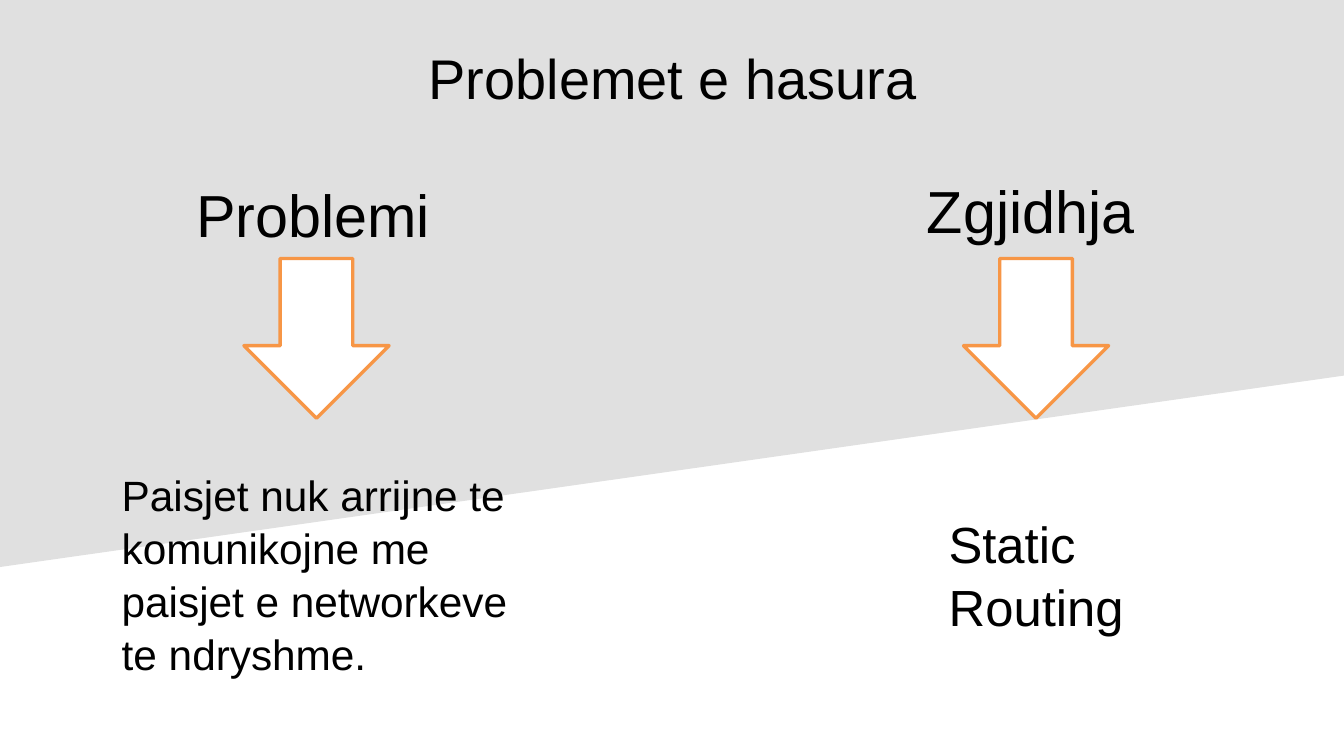
from pptx import Presentation
from pptx.dml.color import RGBColor
from pptx.enum.shapes import MSO_SHAPE
from pptx.enum.text import MSO_ANCHOR, MSO_AUTO_SIZE, PP_ALIGN
from pptx.util import Inches, Pt

COLORS = {"backdrop": "E0E0E0", "text": "000000", "arrow": "FFFFFF", "outline": "F79646"}
WIDTH, HEIGHT = 11.02, 6.2
NO_INSETS = (0, 0, 0, 0)
BOX_INSETS = (0.1, 0.05, 0.1, 0.05)


def color(name):
    """Return the named colour."""
    return RGBColor.from_string(COLORS[name])


def set_text(sp, text, size, insets=BOX_INSETS, align=PP_ALIGN.LEFT, spacing=1.0):
    """Write one formatted paragraph into a shape."""
    tf = sp.text_frame
    frame = {"word_wrap": True, "auto_size": MSO_AUTO_SIZE.NONE, "vertical_anchor": MSO_ANCHOR.MIDDLE}
    for side, inset in zip(("left", "top", "right", "bottom"), insets):
        frame[f"margin_{side}"] = Inches(inset)
    p = tf.paragraphs[0]
    r = p.add_run()
    r.text = text
    formats = (
        (tf, frame),
        (p, {"alignment": align, "line_spacing": spacing}),
        (r.font, {"name": "Arial", "size": Pt(size), "bold": False}),
    )
    for target, values in formats:
        for name, value in values.items():
            setattr(target, name, value)
    r.font.color.rgb = color("text")


def add_backdrop(s, left, top, width, height):
    """Draw the slanted grey area behind everything else."""
    right_edge = top + 3.08 / 4.65 * height
    builder = s.shapes.build_freeform(Inches(left), Inches(top + height))
    corners = ((left, top), (left + width, top), (left + width, right_edge))
    builder.add_line_segments([(Inches(x), Inches(y)) for x, y in corners], close=True)
    sp = builder.convert_to_shape()
    sp.shadow.inherit = False
    sp.fill.solid()
    sp.fill.fore_color.rgb = color("backdrop")
    sp.line.fill.background()
    s.shapes._spTree.insert(2, sp._element)


def add_title(s, left, top, width, height):
    """Place the slide title."""
    sp = s.shapes.title
    sp.left, sp.top, sp.width, sp.height = map(Inches, (left, top, width, height))
    set_text(sp, "Problemet e hasura", 33, NO_INSETS, PP_ALIGN.CENTER)


def add_text(s, box, *args, **kwargs):
    """Add a text box with one paragraph."""
    set_text(s.shapes.add_textbox(*map(Inches, box)), *args, **kwargs)


def add_arrow(s, left, top, width, height):
    """Add an outlined down arrow."""
    sp = s.shapes.add_shape(MSO_SHAPE.DOWN_ARROW, *map(Inches, (left, top, width, height)))
    sp.shadow.inherit = False
    sp.fill.solid()
    sp.fill.fore_color.rgb = color("arrow")
    sp.line.color.rgb = color("outline")
    sp.line.width = Pt(2)


def add_column(s, left, top, heading, detail):
    """Place a heading, an arrow and its detail relative to the arrow's corner."""
    for (dx, dy, width, height), text, size, insets, spacing in (heading, detail):
        add_text(s, (left + dx, top + dy, width, height), text, size, insets, spacing=spacing)
    add_arrow(s, left, top, 1.19, 1.31)


def main():
    """Build and save the slide."""
    prs = Presentation()
    prs.slide_width, prs.slide_height = Inches(WIDTH), Inches(HEIGHT)
    s = prs.slides.add_slide(prs.slide_layouts[5])
    add_backdrop(s, 0, 0, WIDTH, 4.65)
    add_title(s, 2.6, 0.24, 5.83, 0.79)
    add_column(
        s, 2, 2.12,
        ((-0.49, -0.71, 2.17, 0.69), "Problemi", 35, BOX_INSETS, 1.0),
        ((-1.1, 1.69, 3.7, 1.78), "Paisjet nuk arrijne te komunikojne me paisjet e networkeve te ndryshme.",
         25, BOX_INSETS, 1.04),
    )
    add_column(
        s, 7.9, 2.12,
        ((-0.3, -0.63, 1.78, 0.53), "Zgjidhja", 35, NO_INSETS, 0.9),
        ((-0.22, 2.03, 1.7, 1.11), "Static Routing", 30, BOX_INSETS, 1.04),
    )
    prs.save("out.pptx")


if __name__ == "__main__":
    main()
